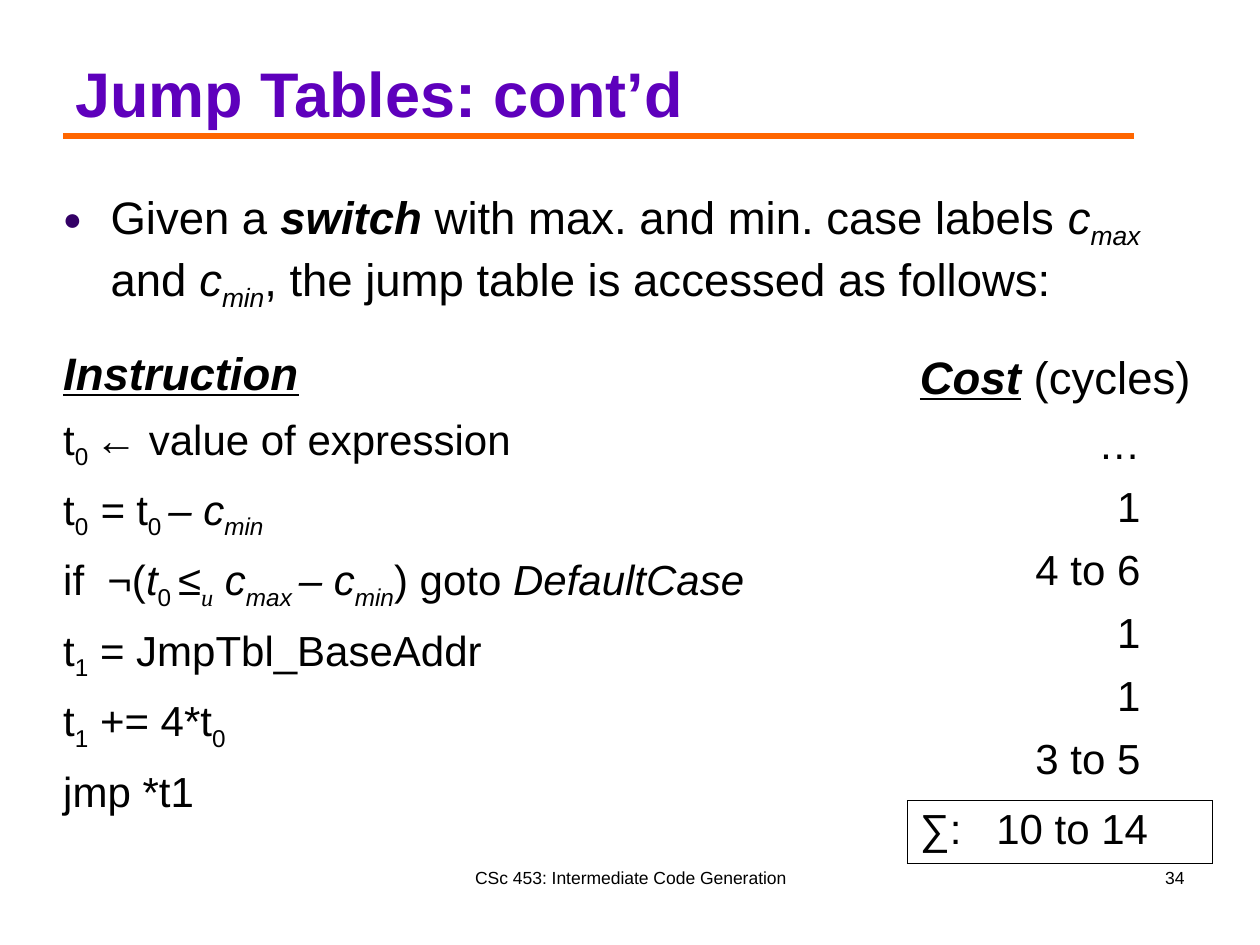
import pptx
import pptx.util
import pptx.oxml
import pptx.oxml.ns
import pptx.dml.color
import pptx.enum.text
import pptx.enum.shapes
from pptx.util import Cm

RGB = pptx.dml.color.RGBColor
ALIGN = pptx.enum.text.PP_ALIGN
ANCHOR = pptx.enum.text.MSO_ANCHOR
BLACK = RGB(0, 0, 0)
PURPLE = RGB(0x5E, 0x00, 0xBC)
INDIGO = RGB(0x33, 0x00, 0x66)
ORANGE = RGB(0xFF, 0x66, 0x00)
NO_GRID = "{2D5ABB26-0587-4C30-8999-92F81FD0307C}"
MARKS = {"b": "bold", "i": "italic", "u": "underline"}

LEAD = [
    ("Given a ", ""), ("switch", "bi"),
    (" with max. and min. case labels ", ""), ("c", "i"), ("max", "is"),
    (" and ", ""), ("c", "i"), ("min", "is"),
    (", the jump table is accessed as follows:", ""),
]
CODE = [
    [("Instruction", "biu")],
    [("t", ""), ("0 ", "s"), ("← value of expression", "")],
    [("t", ""), ("0", "s"), (" = ", "i"), ("t", ""), ("0 ", "s"),
     ("– c", "i"), ("min", "is")],
    [("if  ¬(", ""), ("t", "i"), ("0 ", "s"), ("≤", ""), ("u", "isr"),
     (" c", "i"), ("max ", "is"), ("– c", "i"), ("min", "is"),
     (") goto", ""), (" DefaultCase", "i")],
    [("t", ""), ("1", "s"), (" = JmpTbl_BaseAddr", "")],
    [("t", ""), ("1", "s"), (" += 4*t", ""), ("0", "s")],
    [("jmp *t1", "")],
    [],
]
COSTS = ["…", "1", "4 to 6", "1", "1", "3 to 5"]
COST = [[("Cost", "biu"), (" (cycles)", "")],
        *[[(cost, "")] for cost in COSTS],
        [("∑:\t10 to 14", "")]]
CODE_ROWS = [1.37] + [1.42] * 5 + [1.27, 1.37]
COST_ROWS = [1.37] + [1.27] * 5 + [1.42, 1.27]


def put(item, values):
    """Set each named attribute of item."""
    for name, value in values.items():
        setattr(item, name, value)


def node(text):
    """Make an element from XML that uses the a: prefix."""
    head, tail = text.split(" ", 1)
    return pptx.oxml.parse_xml(
        f"{head} {pptx.oxml.ns.nsdecls('a')} {tail}")


def write(para, runs, size, color=BLACK):
    """Add runs; marks are b, i, u, s (subscript) and r (roman face)."""
    for text, marks in runs:
        run = para.add_run()
        run.text = text
        put(run.font, {"size": pptx.util.Pt(size),
                       "name": "Times New Roman" if "r" in marks else "Arial"})
        put(run.font, {MARKS[m]: True for m in marks if m in MARKS})
        run.font.color.rgb = color
        if "s" in marks:
            run.font._element.set("baseline", "-25000")


def add_text(slide, box, runs, size, color=BLACK, align=ALIGN.LEFT,
             anchor=ANCHOR.TOP):
    frame = slide.shapes.add_textbox(*map(Cm, box)).text_frame
    put(frame, {"word_wrap": True, "vertical_anchor": anchor})
    para = frame.paragraphs[0]
    para.alignment = align
    write(para, runs, size, color)
    return para


def add_dot(para):
    """Give the paragraph a hanging round bullet."""
    props = para._p.get_or_add_pPr()
    props.set("marL", str(Cm(0.96)))
    props.set("indent", str(-Cm(0.96)))
    for text in (f'<a:buClr ><a:srgbClr val="{INDIGO}"/></a:buClr>',
                 '<a:buSzPct val="70000"/>',
                 '<a:buFont typeface="Arial"/>',
                 '<a:buChar char="●"/>'):
        props.append(node(text))


def add_rule(slide, left, right, top):
    rule = slide.shapes.add_connector(
        pptx.enum.shapes.MSO_CONNECTOR.STRAIGHT,
        Cm(left), Cm(top), Cm(right), Cm(top))
    rule.line.color.rgb = ORANGE
    rule.line.width = pptx.util.Pt(3.75)
    rule._element.spPr.append(node("<a:effectLst />"))


def add_list(slide, left, top, width, rows, lines):
    """Add a plain table of one column, with a larger first row."""
    table = slide.shapes.add_table(
        len(lines), 1, Cm(left), Cm(top), Cm(width), Cm(sum(rows))).table
    put(table, {"first_row": False, "horz_banding": False})
    table._tbl.tblPr.find(pptx.oxml.ns.qn("a:tableStyleId")).text = NO_GRID
    for n, (high, runs) in enumerate(zip(rows, lines)):
        table.rows[n].height = Cm(high)
        cell = table.cell(n, 0)
        cell.fill.background()
        write(cell.text_frame.paragraphs[0], runs, 24 if n else 26)
    return table


def edge(cell, sides):
    """Draw thin black borders on the given sides, in L R T B order."""
    props = cell._tc.get_or_add_tcPr()
    for n, side in enumerate(sides):
        props.insert(n, node(
            f'<a:ln{side} w="5715"><a:solidFill><a:srgbClr val="{BLACK}"/>'
            f'</a:solidFill></a:ln{side}>'))


def main():
    deck = pptx.Presentation()
    put(deck, {"slide_width": Cm(25.4), "slide_height": Cm(19.05)})
    slide = deck.slides.add_slide(deck.slide_layouts[6])

    add_rule(slide, 1.27, 22.86, 2.74)
    add_text(slide, (8.69, 17.35, 8.05, 1.27),
             [("CSc 453: Intermediate Code Generation", "")], 10,
             align=ALIGN.CENTER)
    add_text(slide, (18.21, 17.35, 5.92, 1.27), [("34", "")], 10,
             align=ALIGN.RIGHT)
    add_text(slide, (1.27, 0.33, 22.86, 2.41),
             [("Jump Tables: cont’d", "b")], 36, PURPLE,
             anchor=ANCHOR.BOTTOM)
    add_dot(add_text(slide, (1.02, 3.68, 22.86, 6.5), LEAD, 26))

    add_list(slide, 1.02, 6.91, 16.76, CODE_ROWS, CODE)
    table = add_list(slide, 18.29, 6.99, 6.15, COST_ROWS, COST)
    for n in range(1, len(COSTS) + 1):
        cell = table.cell(n, 0)
        cell.margin_right = Cm(1.45)
        cell.text_frame.paragraphs[0].alignment = ALIGN.RIGHT
    total = table.cell(len(COST) - 1, 0)
    total.text_frame.paragraphs[0]._p.get_or_add_pPr().append(
        node(f'<a:tabLst ><a:tab pos="{Cm(1.54)}" algn="l"/></a:tabLst>'))
    edge(cell, "B")
    edge(total, "LRTB")
    deck.save("out.pptx")


if __name__ == "__main__":
    main()
